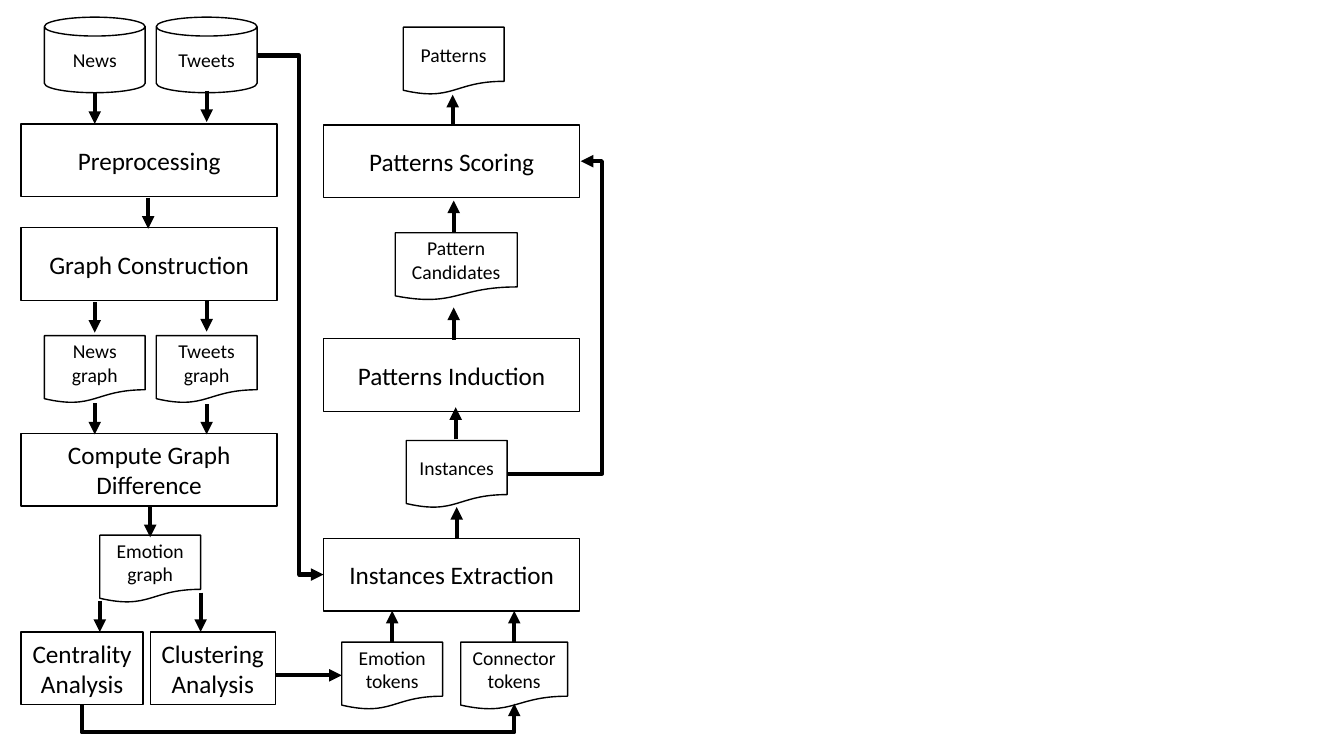
"""Draw the flow chart that turns news and tweets into emotion patterns."""
from dataclasses import dataclass

from lxml import etree
from pptx import Presentation
from pptx.dml.color import RGBColor
from pptx.enum.shapes import MSO_CONNECTOR, MSO_SHAPE
from pptx.enum.text import MSO_ANCHOR, PP_ALIGN
from pptx.oxml.ns import qn
from pptx.shapes.connector import Connector
from pptx.slide import Slide
from pptx.util import Inches, Pt

BLACK = RGBColor(0x00, 0x00, 0x00)
WHITE = RGBColor(0xFF, 0xFF, 0xFF)
FONT = "Calibri"
STORE = MSO_SHAPE.CAN
STEP = MSO_SHAPE.RECTANGLE
DOCUMENT = MSO_SHAPE.FLOWCHART_DOCUMENT
STRAIGHT = MSO_CONNECTOR.STRAIGHT
ELBOW = MSO_CONNECTOR.ELBOW
MIDDLE = MSO_ANCHOR.MIDDLE
CENTER = PP_ALIGN.CENTER

HEIGHTS = {STORE: 0.75, STEP: 0.72, DOCUMENT: 0.67}
FONT_SIZES = {STORE: 14, STEP: 18, DOCUMENT: 14}
GRAPH_X, PATTERN_X = 0.21, 3.21
NEWS_X, TWEETS_X = 0.44, 1.55
STEP_WIDTH = 2.54
NEWS_MID, TWEETS_MID = 0.94, 2.05
CONNECTOR_MID = 5.1


@dataclass(frozen=True)
class Node:
    """A labelled store, step or document."""

    kind: MSO_SHAPE
    label: str
    left: float
    top: float
    width: float = 1.0


@dataclass(frozen=True)
class Arrow:
    """A straight arrow between two points."""

    x0: float
    y0: float
    x1: float
    y1: float


@dataclass(frozen=True)
class BentArrow(Arrow):
    """An arrow whose middle leg runs along the line x or y = bend."""

    bend: float
    leaves_vertically: bool = False


NODES = [
    Node(STORE, "News", NEWS_X, 0.17),
    Node(STORE, "Tweets", TWEETS_X, 0.17),
    Node(STEP, "Preprocessing", GRAPH_X, 1.23, STEP_WIDTH),
    Node(STEP, "Graph Construction", GRAPH_X, 2.26, STEP_WIDTH),
    Node(DOCUMENT, "News graph", NEWS_X, 3.33),
    Node(DOCUMENT, "Tweets graph", TWEETS_X, 3.33),
    Node(STEP, "Compute Graph Difference", GRAPH_X, 4.3, STEP_WIDTH),
    Node(DOCUMENT, "Emotion graph", 0.99, 5.31),
    Node(STEP, "Centrality Analysis", GRAPH_X, 6.27, 1.21),
    Node(STEP, "Clustering Analysis", 1.49, 6.27, 1.24),
    Node(DOCUMENT, "Connector tokens", 4.57, 6.37, 1.06),
    Node(DOCUMENT, "Emotion tokens", 3.39, 6.37),
    Node(STEP, "Instances Extraction", PATTERN_X, 5.34, STEP_WIDTH),
    Node(DOCUMENT, "Instances", 4.03, 4.37),
    Node(STEP, "Patterns Induction", PATTERN_X, 3.36, STEP_WIDTH),
    Node(DOCUMENT, "Pattern Candidates", 3.92, 2.31, 1.21),
    Node(STEP, "Patterns Scoring", PATTERN_X, 1.24, STEP_WIDTH),
    Node(DOCUMENT, "Patterns", 4.0, 0.27),
]

VERTICAL_ARROWS = [
    (NEWS_MID, 0.92, 1.23),
    (TWEETS_MID, 0.9, 1.21),
    (1.47, 1.96, 2.27),
    (NEWS_MID, 3.0, 3.3),
    (TWEETS_MID, 2.99, 3.29),
    (NEWS_MID, 4.0, 4.31),
    (TWEETS_MID, 4.01, 4.31),
    (1.49, 5.02, 5.33),
    (0.99, 5.96, 6.27),
    (1.99, 5.88, 6.27),
    (4.5, 2.31, 1.99),
    (4.49, 1.25, 0.94),
    (4.53, 5.35, 5.03),
    (4.5, 3.37, 3.05),
    (4.52, 4.36, 4.04),
    (3.89, 6.37, 6.06),
    (CONNECTOR_MID, 6.37, 6.06),
]
ARROWS = [Arrow(x, start, x, end) for x, start, end in VERTICAL_ARROWS]
ARROWS.append(Arrow(2.73, 6.7, 3.39, 6.7))

BENT_ARROWS = [
    BentArrow(0.81, 6.99, CONNECTOR_MID, 6.98, 7.27, leaves_vertically=True),
    BentArrow(5.03, 4.7, 5.76, 1.6, 5.97),
    BentArrow(2.55, 0.55, 3.21, 5.7, 2.97),
]


def add_node(slide: Slide, node: Node) -> None:
    """Add one outlined node with its centred label."""
    box = slide.shapes.add_shape(
        node.kind, Inches(node.left), Inches(node.top),
        Inches(node.width), Inches(HEIGHTS[node.kind]))
    box.shadow.inherit = False
    box.fill.solid()
    box.fill.fore_color.rgb = WHITE
    box.line.color.rgb = BLACK
    box.line.width = Pt(1)
    frame = box.text_frame
    frame.word_wrap = True
    frame.vertical_anchor = MIDDLE
    frame.text = node.label
    label = frame.paragraphs[0]
    label.alignment = CENTER
    label.font.name = FONT
    label.font.size = Pt(FONT_SIZES[node.kind])
    label.font.color.rgb = BLACK


def add_arrow(slide: Slide, arrow: Arrow, kind: MSO_CONNECTOR = STRAIGHT) -> Connector:
    """Add a thick black connector with a triangular head."""
    connector = slide.shapes.add_connector(
        kind, Inches(arrow.x0), Inches(arrow.y0),
        Inches(arrow.x1), Inches(arrow.y1))
    connector.line.color.rgb = BLACK
    connector.line.width = Pt(3)
    properties = connector._element.spPr
    outline = properties.find(qn("a:ln"))
    etree.SubElement(outline, qn("a:tailEnd"), type="triangle")
    etree.SubElement(properties, qn("a:effectLst"))
    return connector


def add_bent_arrow(slide: Slide, arrow: BentArrow) -> None:
    """Add an elbow, turned a quarter when it leaves vertically."""
    if arrow.leaves_vertically:
        mid_x, mid_y = (arrow.x0 + arrow.x1) / 2, (arrow.y0 + arrow.y1) / 2
        unturned = Arrow(
            mid_x + arrow.y0 - mid_y, mid_y - arrow.x0 + mid_x,
            mid_x + arrow.y1 - mid_y, mid_y - arrow.x1 + mid_x)
        start, end = arrow.y0, arrow.y1
    else:
        unturned = arrow
        start, end = arrow.x0, arrow.x1
    properties = add_arrow(slide, unturned, ELBOW)._element.spPr
    if arrow.leaves_vertically:
        properties.find(qn("a:xfrm")).set("rot", str(90 * 60000))
    ratio = round((arrow.bend - start) / (end - start) * 100000)
    geometry = properties.find(qn("a:prstGeom"))
    adjustments = geometry.find(qn("a:avLst"))
    etree.SubElement(adjustments, qn("a:gd"), name="adj1", fmla=f"val {ratio}")


def main() -> None:
    """Build and save the slide."""
    deck = Presentation()
    deck.slide_width, deck.slide_height = Inches(13.33), Inches(7.5)
    slide = deck.slides.add_slide(deck.slide_layouts[6])
    for node in NODES:
        add_node(slide, node)
    for arrow in ARROWS:
        add_arrow(slide, arrow)
    for bent_arrow in BENT_ARROWS:
        add_bent_arrow(slide, bent_arrow)
    deck.save("out.pptx")


main()
